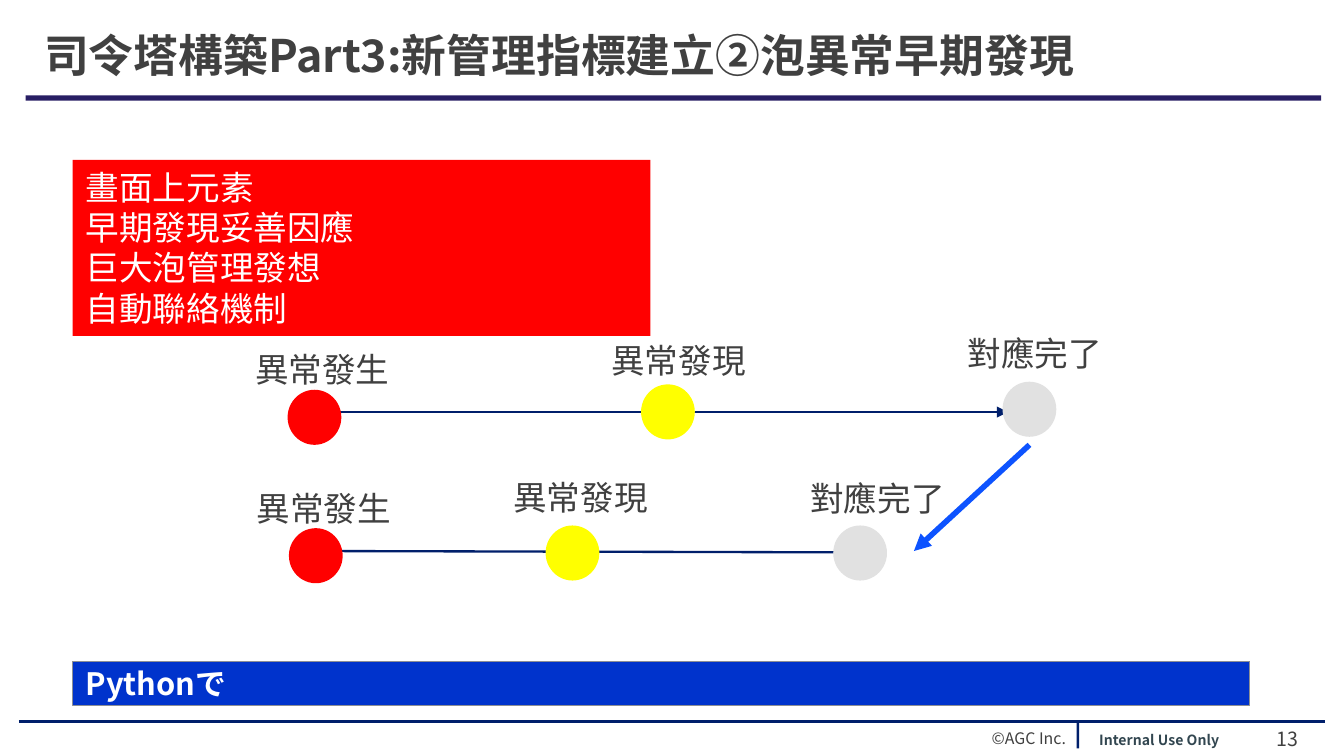
"""Build the slide on early detection of bubble anomalies."""
from dataclasses import dataclass, field
from typing import NamedTuple

from lxml.etree import SubElement
from pptx import Presentation
from pptx.dml.color import RGBColor as RGB
from pptx.enum.shapes import MSO_CONNECTOR as CONN, MSO_SHAPE as SHAPE
from pptx.enum.text import MSO_ANCHOR as ANCHOR, PP_ALIGN as ALIGN
from pptx.oxml.ns import qn
from pptx.util import Inches, Pt

COLS, ROWS = 100, 56.25
CELL = Inches(0.1)
FONT = "Noto Sans CJK JP"
COLORS = {
    "navy": "001F6B", "rule": "281E64", "blue": "0033CC", "arrow": "0D53FF",
    "red": "FF0000", "yellow": "FFFF00", "gray": "E1E1E1", "border": "8D8F94",
    "white": "FFFFFF", "text": "404040", "slate": "324650",
}


class Area(NamedTuple):
    col: float
    row: float
    cols: float
    rows: float


@dataclass
class Text:
    lines: list[str]
    size: float = 18
    color: str = "text"
    bold: bool = False
    para: dict = field(default_factory=dict)
    frame: dict = field(default_factory=dict)


class Stage(NamedTuple):
    label: str
    color: str
    dot: tuple[float, float]
    caption: tuple[float, float]


class Flow(NamedTuple):
    start: tuple[float, float]
    end: tuple[float, float]
    stages: list[Stage]


def grid(*values: float) -> list[int]:
    return [round(v * CELL) for v in values]


def rgb(name: str) -> RGB:
    return RGB.from_string(COLORS[name])


def apply(target, values: dict) -> None:
    for name, value in values.items():
        setattr(target, name, value)


def write(sp, text: Text) -> None:
    tf = sp.text_frame
    apply(tf, {"word_wrap": True, "vertical_anchor": ANCHOR.TOP, **text.frame})
    for i, line in enumerate(text.lines):
        p = tf.paragraphs[0] if i == 0 else tf.add_paragraph()
        apply(p, {"alignment": ALIGN.LEFT, **text.para})
        r = p.add_run()
        r.text = line
        apply(r.font, {"size": Pt(text.size), "bold": text.bold, "name": FONT})
        r.font.color.rgb = rgb(text.color)
        SubElement(r.font._element, qn("a:ea"), typeface=FONT)


def add_text(s, area: Area, text: Text) -> None:
    write(s.shapes.add_textbox(*grid(*area)), text)


def add_block(s, area: Area, fill: str, kind=SHAPE.RECTANGLE,
              border: str | None = None, text: Text | None = None) -> None:
    sp = s.shapes.add_shape(kind, *grid(*area))
    sp.shadow.inherit = False
    sp.fill.solid()
    sp.fill.fore_color.rgb = rgb(fill)
    if border:
        sp.line.color.rgb = rgb(border)
        sp.line.width = Pt(0.5)
    else:
        sp.line.fill.background()
    if text:
        write(sp, text)


def add_line(s, start: tuple[float, float], end: tuple[float, float],
             color: str, width: float, arrow: bool = True) -> None:
    cx = s.shapes.add_connector(CONN.STRAIGHT, *grid(*start, *end))
    cx.line.color.rgb = rgb(color)
    cx.line.width = Pt(width)
    if arrow:
        SubElement(cx.line._get_or_add_ln(), qn("a:tailEnd"), type="triangle")
    SubElement(cx._element.spPr, qn("a:effectLst"))


def add_flow(s, flow: Flow) -> None:
    add_line(s, flow.start, flow.end, "navy", 1.25)
    for stage in flow.stages:
        add_block(s, Area(*stage.dot, 4, 4.1), stage.color, SHAPE.OVAL)
        add_text(s, Area(*stage.caption, 14.8, 4), Text([stage.label]))


MIDDLE = {"vertical_anchor": ANCHOR.MIDDLE}
RIGHT = {"alignment": ALIGN.RIGHT}
POINTS = ["畫面上元素", "早期發現妥善因應", "巨大泡管理發想", "自動聯絡機制"]
FLOWS = [
    Flow((23.6, 30.66), (75, 30.66), [
        Stage("異常發生", "red", (21.4, 29), (18, 25.5)),
        Stage("異常發現", "yellow", (47.7, 28.6), (44.5, 24.8)),
        Stage("對應完了", "gray", (74.6, 28.4), (71, 24.3)),
    ]),
    Flow((23.7, 41), (63.6, 41.1), [
        Stage("異常發生", "red", (21.5, 39.3), (18.1, 35.8)),
        Stage("異常發現", "yellow", (40.6, 39.1), (37.2, 35)),
        Stage("對應完了", "gray", (62, 39.1), (59.3, 35.1)),
    ]),
]


def add_footer(s) -> None:
    add_line(s, (1.4, 53.7), (98.6, 53.7), "navy", 1.5, arrow=False)
    add_text(s, Area(80.3, 53.9, 11.4, 1.5),
             Text(["Internal Use Only"], 7.5, "slate", True, RIGHT, {"word_wrap": False}))
    add_block(s, Area(80.1, 53.7, 0.2, 2), "navy")
    add_text(s, Area(91.9, 54, 5.7, 1.9), Text(["13"], 10.5, para=RIGHT, frame=MIDDLE))
    add_text(s, Area(50, 54, 30.3, 1.9), Text(["©AGC Inc."], 8.5, para=RIGHT, frame=MIDDLE))


def main() -> None:
    prs = Presentation()
    prs.slide_width, prs.slide_height = grid(COLS, ROWS)
    s = prs.slides.add_slide(prs.slide_layouts[6])
    add_footer(s)
    add_block(s, Area(1.9, 7.1, 96.4, 0.4), "rule")
    add_text(s, Area(2.3, 1.5, 84.3, 5.6),
             Text(["司令塔構築Part3:新管理指標建立➁泡異常早期發現"], 24, bold=True,
                  para={"line_spacing": 0.9}, frame=MIDDLE))
    add_block(s, Area(5.4, 49.2, 87.6, 3.3), "blue", border="border",
              text=Text(["Pythonで"], 16.5, "white", True, frame=MIDDLE))
    add_block(s, Area(5.4, 11.9, 43, 13.1), "red", text=Text(POINTS, color="white"))
    for flow in FLOWS:
        add_flow(s, flow)
    add_line(s, (76.6, 33.1), (68, 41), "arrow", 3)
    prs.save("out.pptx")


if __name__ == "__main__":
    main()
